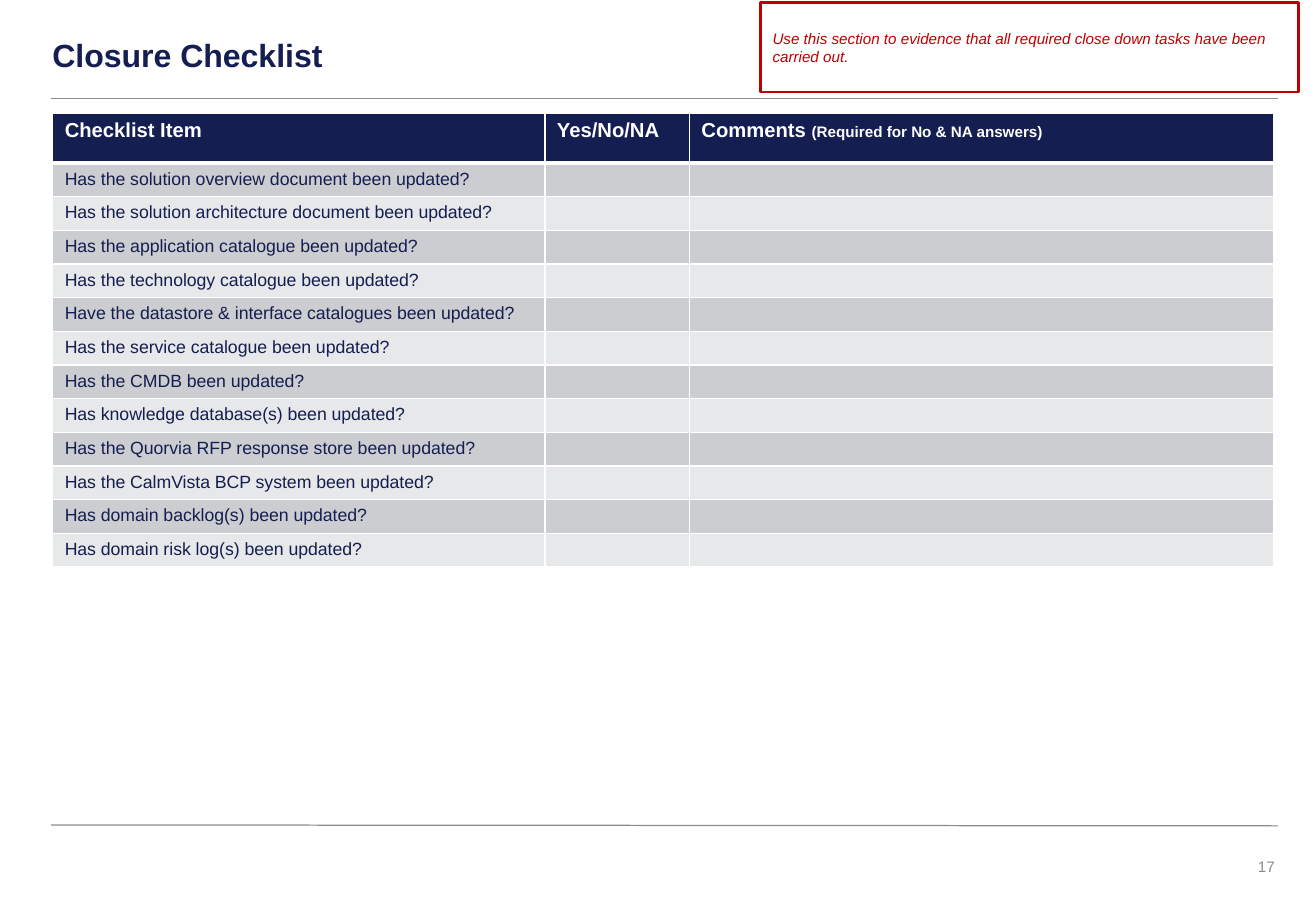
from dataclasses import dataclass

from lxml import etree
from pptx import Presentation
from pptx.dml.color import RGBColor
from pptx.enum import shapes, text
from pptx.oxml.ns import qn
from pptx.util import Cm, Pt


@dataclass(frozen=True)
class Theme:
    font: str = "Arial"
    navy: str = "141E50"
    red: str = "C00000"
    grey: str = "8A8C8E"
    white: str = "FFFFFF"
    bands: tuple = ("CCCDD0", "E7E8E9")
    title_size: float = 19
    header_size: float = 12
    item_size: float = 10.5
    small_size: float = 9


theme = Theme()


def add_run(paragraph, words, size, color, **formats):
    run = paragraph.add_run()
    run.text = words
    run.font.color.rgb = RGBColor.from_string(color)
    for name, value in {"name": theme.font, "size": Pt(size), **formats}.items():
        setattr(run.font, name, value)


def set_borders(cell, widths):
    """Draw white borders, with widths in points keyed by side: L, R, T, B."""
    properties = cell._tc.get_or_add_tcPr()
    for side, width in widths.items():
        border = etree.SubElement(properties, qn(f"a:ln{side}"), w=str(Pt(width)))
        fill = etree.SubElement(border, qn("a:solidFill"))
        etree.SubElement(fill, qn("a:srgbClr"), val=theme.white)


headings = [
    [("Checklist Item", theme.header_size)],
    [("Yes/No/NA", theme.header_size)],
    [("Comments ", theme.header_size),
     ("(Required for No & NA answers)", theme.small_size)],
]
questions = [
    "Has the solution overview document been updated?",
    "Has the solution architecture document been updated?",
    "Has the application catalogue been updated?",
    "Has the technology catalogue been updated?",
    "Have the datastore & interface catalogues been updated?",
    "Has the service catalogue been updated?",
    "Has the CMDB been updated?",
    "Has knowledge database(s) been updated?",
    "Has the Quorvia RFP response store been updated?",
    "Has the CalmVista BCP system been updated?",
    "Has domain backlog(s) been updated?",
    "Has domain risk log(s) been updated?",
]
column_widths = [Cm(10.29), Cm(3.02), Cm(12.22)]
header_height, item_height = Cm(1.04), Cm(0.7)

prs = Presentation()
prs.slide_width, prs.slide_height = Cm(27.51), Cm(19.05)
slide = prs.slides.add_slide(prs.slide_layouts[5])

# Rules above and below the content
for start_y, end_y in [(17.25, 17.27), (2.06, 2.06)]:
    rule = slide.shapes.add_connector(
        shapes.MSO_CONNECTOR.STRAIGHT, Cm(1.07), Cm(start_y), Cm(26.72), Cm(end_y))
    rule.line.color.rgb = RGBColor.from_string(theme.grey)
    rule.line.width = Pt(0.75)
    etree.SubElement(rule._element.spPr, qn("a:effectLst"))

# Title
title = slide.shapes.title
title.left, title.top, title.width, title.height = Cm(0.84), Cm(0.36), Cm(25.88), Cm(1.7)
title.text_frame.vertical_anchor = text.MSO_ANCHOR.MIDDLE
heading = title.text_frame.paragraphs[0]
heading.alignment = text.PP_ALIGN.LEFT
heading.line_spacing = 0.85
add_run(heading, "Closure Checklist", theme.title_size, theme.navy, bold=True)

# Checklist
checklist = slide.shapes.add_table(
    len(questions) + 1, len(headings), Cm(1.1), Cm(2.37),
    sum(column_widths), header_height + item_height * len(questions)).table
checklist.horz_banding = False
for column, width in zip(checklist.columns, column_widths):
    column.width = width

for row_index, row in enumerate(checklist.rows):
    is_header = row_index == 0
    row.height = header_height if is_header else item_height
    fill = theme.navy if is_header else theme.bands[(row_index - 1) % 2]
    for column_index, cell in enumerate(row.cells):
        set_borders(cell, {"L": 1, "R": 1,
                           "T": 3 if row_index == 1 else 1,
                           "B": 3 if is_header else 1})
        cell.fill.solid()
        cell.fill.fore_color.rgb = RGBColor.from_string(fill)
        paragraph = cell.text_frame.paragraphs[0]
        if is_header:
            for words, size in headings[column_index]:
                add_run(paragraph, words, size, theme.white, bold=True)
        elif column_index == 0:
            add_run(paragraph, questions[row_index - 1], theme.item_size,
                    theme.navy, bold=False)
        else:
            # Keeps the empty answer cells from stretching the row
            etree.SubElement(paragraph._p, qn("a:endParaRPr"),
                             sz=str(int(theme.item_size * 100)))

# Guidance note
guidance = slide.shapes.add_shape(
    shapes.MSO_SHAPE.RECTANGLE, Cm(15.9), Cm(0.05), Cm(11.25), Cm(1.88))
guidance.shadow.inherit = False
guidance.fill.solid()
guidance.fill.fore_color.rgb = RGBColor.from_string(theme.white)
guidance.line.color.rgb = RGBColor.from_string(theme.red)
guidance.line.width = Pt(1.5)
guidance.text_frame.word_wrap = True
guidance.text_frame.vertical_anchor = text.MSO_ANCHOR.MIDDLE
advice = guidance.text_frame.paragraphs[0]
advice.alignment = text.PP_ALIGN.LEFT
add_run(advice,
        "Use this section to evidence that all required close down tasks "
        "have been carried out.",
        theme.small_size, theme.red, italic=True)

# Page number
page_number = slide.shapes.add_textbox(Cm(25.68), Cm(17.78), Cm(1.27), Cm(0.69)).text_frame
for name, value in {"margin_left": Cm(0.3), "margin_right": Cm(0.3),
                    "margin_top": Cm(0.15), "margin_bottom": Cm(0.15),
                    "word_wrap": True}.items():
    setattr(page_number, name, value)
page_number.paragraphs[0].alignment = text.PP_ALIGN.RIGHT
add_run(page_number.paragraphs[0], "17", theme.small_size, theme.grey)

prs.save("out.pptx")
